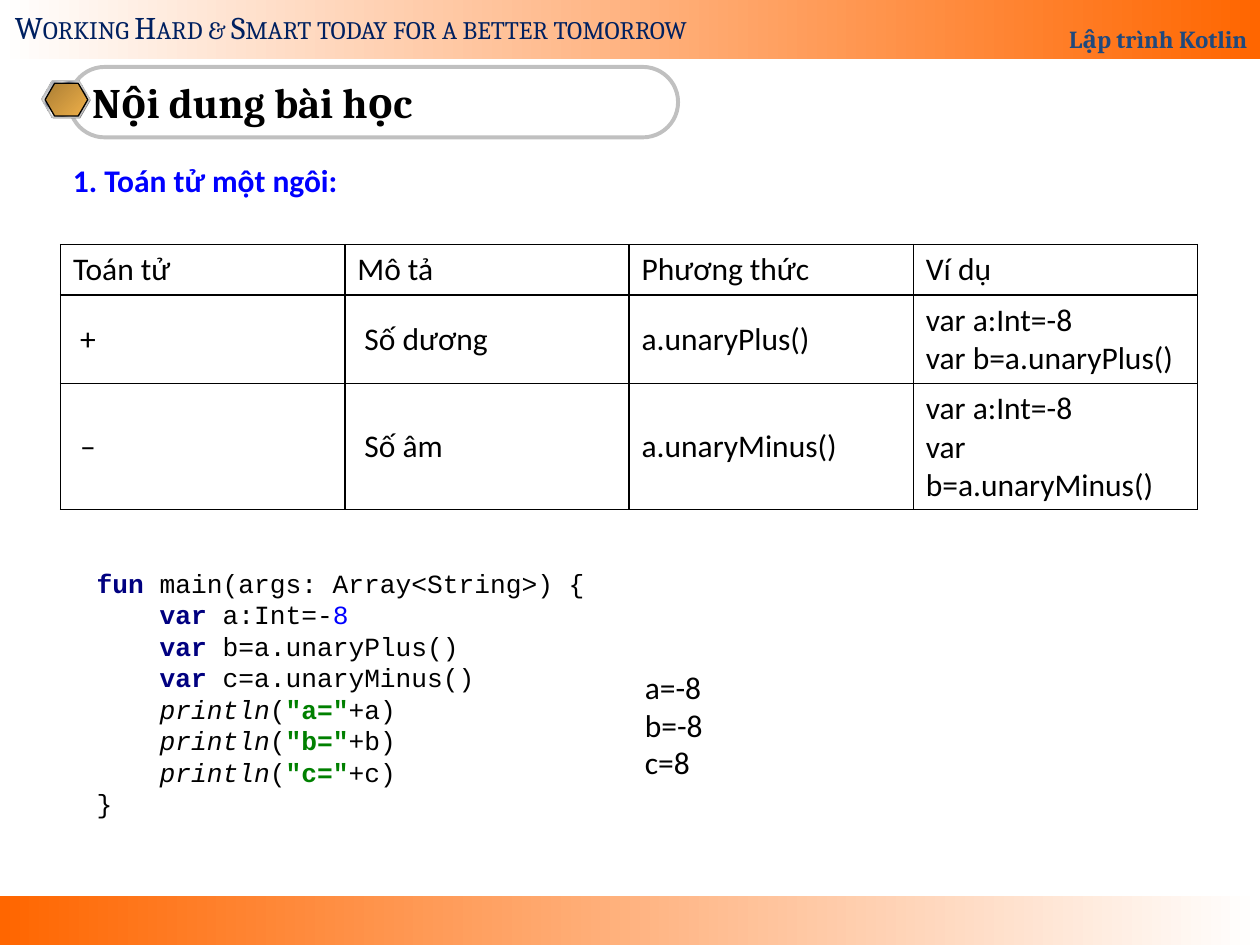
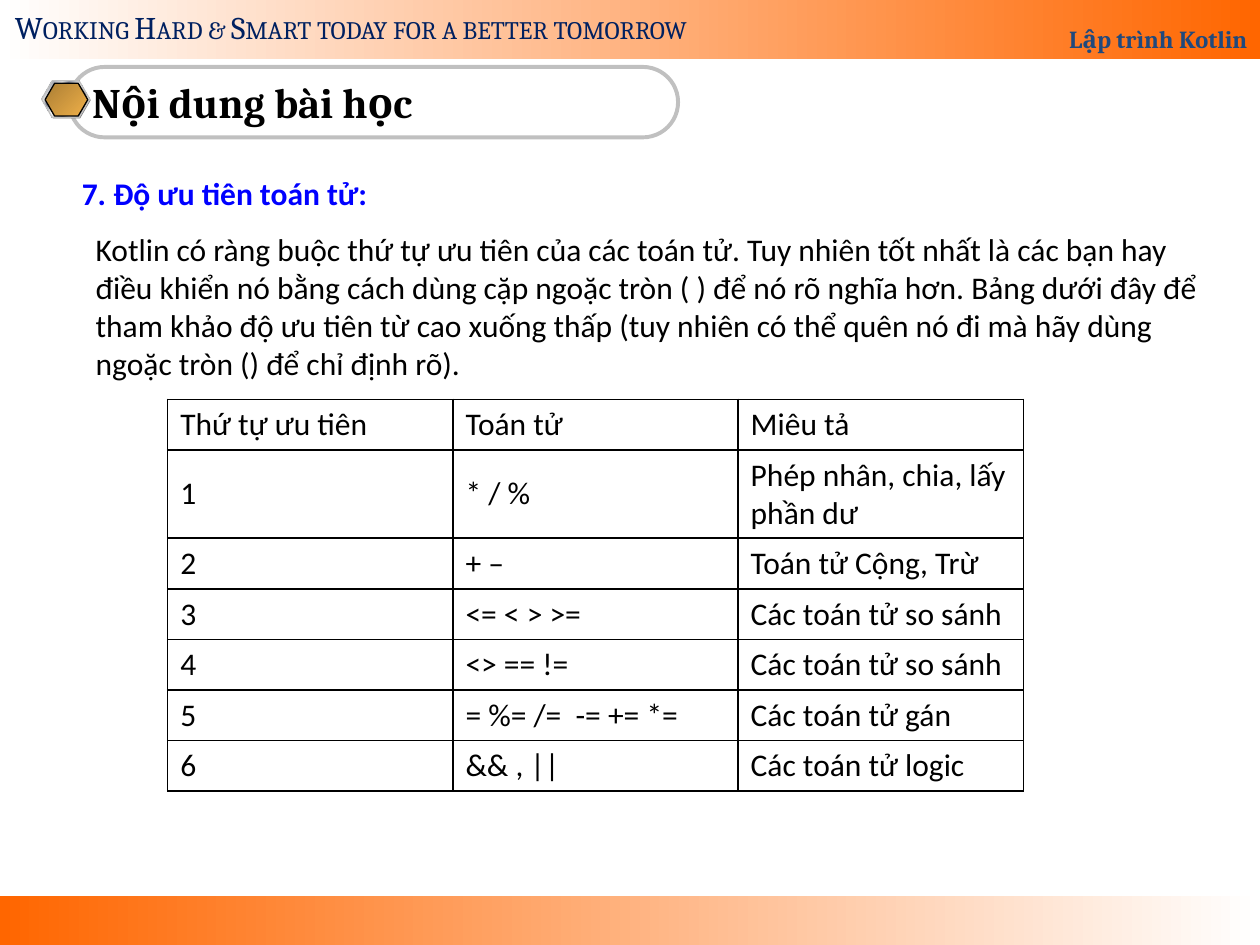
"""Build two Kotlin lesson slides: unary operators and operator precedence."""
from dataclasses import dataclass

from lxml import etree
from pptx import Presentation
from pptx.dml.color import RGBColor
from pptx.enum.shapes import MSO_SHAPE
from pptx.enum.text import MSO_ANCHOR, PP_ALIGN
from pptx.oxml.ns import qn
from pptx.util import Cm, Pt

RECTANGLE, PILL, HEXAGON = MSO_SHAPE.RECTANGLE, MSO_SHAPE.ROUNDED_RECTANGLE, MSO_SHAPE.HEXAGON
TOP, MIDDLE, BOTTOM = MSO_ANCHOR.TOP, MSO_ANCHOR.MIDDLE, MSO_ANCHOR.BOTTOM
LEFT, RIGHT = PP_ALIGN.LEFT, PP_ALIGN.RIGHT


@dataclass(frozen=True)
class Theme:
    white: str = "FFFFFF"
    black: str = "000000"
    orange: str = "FF6600"
    navy: str = "002060"
    course_blue: str = "1F497D"
    heading_blue: str = "0000FF"
    keyword: str = "000080"
    string: str = "008000"
    silver: str = "C0C0C0"
    gray: str = "808080"
    light_steel: str = "E6E6E6"
    dark_steel: str = "7D8496"
    bronze: str = "AB7E34"
    gold: str = "EFB049"
    body_font: str = "Calibri"
    title_font: str = "Cambria"
    code_font: str = "Courier New"
    title_size: int = 24
    body_size: int = 18
    code_size: int = 15
    course_size: int = 14


THEME = Theme()
BODY = {"name": THEME.body_font, "size": Pt(THEME.body_size), "bold": False, "color": THEME.black}
HEADING = BODY | {"bold": True, "color": THEME.heading_blue}
MOTTO = BODY | {"name": THEME.title_font, "color": THEME.navy}
TITLE = {"name": THEME.title_font, "size": Pt(THEME.title_size), "bold": True, "color": THEME.black}
COURSE = TITLE | {"size": Pt(THEME.course_size), "color": THEME.course_blue}
CODE = BODY | {"name": THEME.code_font, "size": Pt(THEME.code_size)}
KEYWORD = {"bold": True, "color": THEME.keyword}
STRING = {"bold": True, "color": THEME.string}
NUMBER = {"color": THEME.heading_blue}
CALL = {"italic": True}


def write(frame, lines, base, anchor=TOP, align=LEFT, wrap=True):
    frame.word_wrap = wrap
    frame.vertical_anchor = anchor
    for index, line in enumerate(lines):
        paragraph = frame.paragraphs[0] if index == 0 else frame.add_paragraph()
        paragraph.alignment = align
        for text, style in [(line, {})] if isinstance(line, str) else line:
            run = paragraph.add_run()
            run.text = text
            for attribute, value in (base | style).items():
                if attribute == "color":
                    run.font.color.rgb = RGBColor.from_string(value)
                else:
                    setattr(run.font, attribute, value)


def add_figure(slide, kind, box, stops=(), angle=0, outline=None):
    figure = slide.shapes.add_shape(kind, *map(Cm, box))
    figure.shadow.inherit = False
    if len(stops) > 1:
        figure.fill.gradient()
        gradient = figure._element.spPr.find(qn("a:gradFill"))
        gradient.find(qn("a:lin")).set("ang", str(angle * 60000))
        stop_list = gradient.find(qn("a:gsLst"))
        for old_stop in list(stop_list):
            stop_list.remove(old_stop)
        for percent, color in stops:
            stop = etree.SubElement(stop_list, qn("a:gs"), pos=str(percent * 1000))
            etree.SubElement(stop, qn("a:srgbClr"), val=color)
    elif stops:
        figure.fill.solid()
        figure.fill.fore_color.rgb = RGBColor.from_string(stops[0][1])
    else:
        figure.fill.background()
    if outline:
        color, width = outline
        figure.line.color.rgb = RGBColor.from_string(color)
        figure.line.width = Pt(width)
    else:
        figure.line.fill.background()
    return figure


light, dark = THEME.light_steel, THEME.dark_steel
steel = [(0, light), (7, dark), (26, light), (34, dark), (46, light), (50, THEME.white),
         (54, light), (66, dark), (74, light), (93, dark), (100, light)]
bullet_layers = [
    ((0.86, 1.65, 0.97, 0.74), [(0, THEME.gray)], None),
    ((0.84, 1.63, 0.97, 0.74), steel, (THEME.silver, 0.75)),
    ((0.91, 1.68, 0.86, 0.66), [(0, THEME.bronze), (100, THEME.gold)], (THEME.black, 0.75)),
]

declarations = [[("    ", {}), ("var ", KEYWORD), (call, {})]
                for call in ("a:Int=-", "b=a.unaryPlus()", "c=a.unaryMinus()")]
declarations[0].append(("8", NUMBER))
prints = [[("    ", {}), ("println", CALL), ("(", {}), (f'"{name}="', STRING), (f"+{name})", {})]
          for name in "abc"]
program = [[("fun ", KEYWORD), ("main(args: Array<String>) {", {})], *declarations, *prints, "}"]

precedence_note = (
    "Kotlin có ràng buộc thứ tự ưu tiên của các toán tử. Tuy nhiên tốt nhất là các bạn hay "
    "điều khiển nó bằng cách dùng cặp ngoặc tròn ( ) để nó rõ nghĩa hơn. Bảng dưới đây để "
    "tham khảo độ ưu tiên từ cao xuống thấp (tuy nhiên có thể quên nó đi mà hãy dùng "
    "ngoặc tròn () để chỉ định rõ).")

lessons = [
    {
        "texts": [
            ((1.22, 3.12, 5.89, 1.02), ["1. Toán tử một ngôi:"], HEADING, TOP, LEFT, False),
            ((1.7, 11.37, 10.9, 5.2), program, CODE, MIDDLE),
            ((12.75, 13.34, 12.65, 2.57), ["a=-8", "b=-8", "c=8"], BODY),
        ],
        "corner": (1.22, 4.93),
        "column": 5.73,
        "heights": [1.02, 1.78, 2.54],
        "rows": [
            ["Toán tử", "Mô tả", "Phương thức", "Ví dụ"],
            [" +", " Số dương", "a.unaryPlus()", "var a:Int=-8\nvar b=a.unaryPlus()"],
            [" –", " Số âm", "a.unaryMinus()", "var a:Int=-8\nvar b=a.unaryMinus()"],
        ],
    },
    {
        "texts": [
            ((1.4, 3.38, 7.04, 1.02), ["7. Độ ưu tiên toán tử:"], HEADING, TOP, LEFT, False),
            ((1.68, 4.52, 23.09, 3.33), [precedence_note], BODY),
        ],
        "corner": (3.38, 8.05),
        "column": 5.75,
        "heights": [1.02, 1.78] + [1.02] * 5,
        "rows": [
            ["Thứ tự ưu tiên", "Toán tử", "Miêu tả"],
            ["1", "* / %", "Phép nhân, chia, lấy phần dư"],
            ["2", "+ –", "Toán tử Cộng, Trừ"],
            ["3", "<= < > >=", "Các toán tử so sánh"],
            ["4", "<> == !=", "Các toán tử so sánh"],
            ["5", "= %= /=  -= += *=", "Các toán tử gán"],
            ["6", "&& , ||", "Các toán tử logic"],
        ],
    },
]

deck = Presentation()
deck.slide_width, deck.slide_height = Cm(25.4), Cm(19.05)

for lesson in lessons:
    slide = deck.slides.add_slide(deck.slide_layouts[6])

    add_figure(slide, RECTANGLE, (0, 18.06, 25.4, 0.99), [(0, THEME.orange), (100, THEME.white)])
    band = add_figure(slide, RECTANGLE, (0, -0.15, 25.4, 1.35),
                      [(0, THEME.white), (100, THEME.orange)])
    write(band.text_frame, ["Lập trình Kotlin"], COURSE, BOTTOM, RIGHT)
    band.text_frame.paragraphs[0].line_spacing = 1.8

    motto = slide.shapes.add_textbox(Cm(0.05), Cm(0.03), Cm(14.99), Cm(1.02)).text_frame
    write(motto, ["Working Hard & Smart today for a better tomorrow"], MOTTO, wrap=False)
    motto.paragraphs[0].runs[0]._r.get_or_add_rPr().set("cap", "small")

    title = add_figure(slide, PILL, (1.4, 1.35, 12.27, 1.42), outline=(THEME.silver, 2.25))
    title.adjustments[0] = 0.5
    write(title.text_frame, ["Nội dung bài học"], TITLE, MIDDLE)
    for box, stops, outline in bullet_layers:
        layer = add_figure(slide, HEXAGON, box, stops, 45, outline)
        layer.adjustments[0] = 0.29

    for box, lines, *style in lesson["texts"]:
        write(slide.shapes.add_textbox(*map(Cm, box)).text_frame, lines, *style)

    rows, heights = lesson["rows"], lesson["heights"]
    columns = len(rows[0])
    size = (lesson["column"] * columns, sum(heights))
    operators = slide.shapes.add_table(len(rows), columns,
                                       *map(Cm, lesson["corner"] + size)).table
    operators.first_row = operators.horz_banding = False
    for column in operators.columns:
        column.width = Cm(lesson["column"])
    for row, height, values in zip(operators.rows, heights, rows):
        row.height = Cm(height)
        for cell, value in zip(row.cells, values):
            write(cell.text_frame, value.split("\n"), BODY)
            cell.vertical_anchor = MIDDLE
            properties = cell._tc.get_or_add_tcPr()
            for side in ("lnL", "lnR", "lnT", "lnB"):
                border = etree.SubElement(properties, qn(f"a:{side}"), w=str(Pt(1)))
                paint = etree.SubElement(border, qn("a:solidFill"))
                etree.SubElement(paint, qn("a:srgbClr"), val=THEME.black)
            cell.fill.background()

deck.save("out.pptx")
